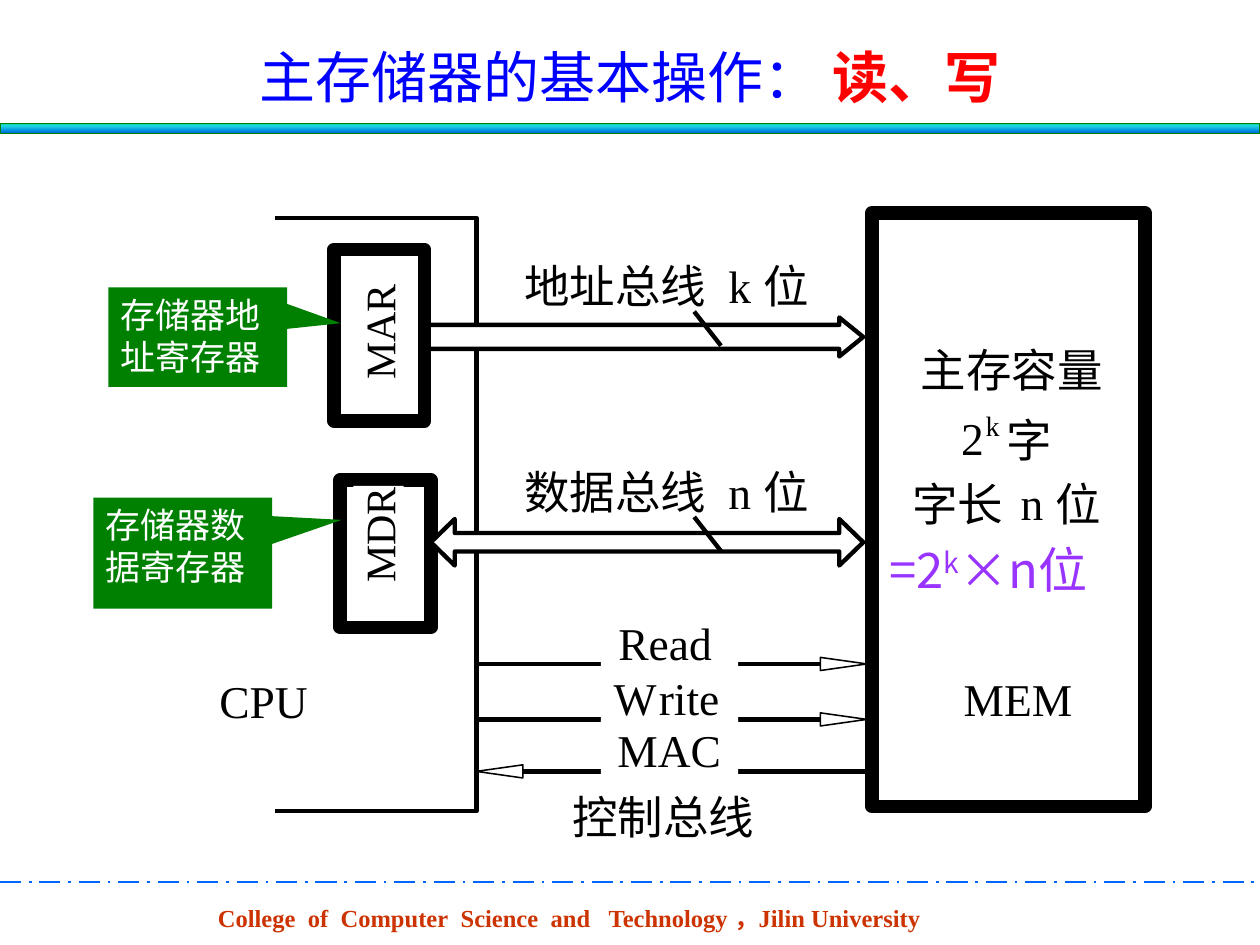
from pptx import Presentation
from pptx.dml.color import RGBColor
from pptx.enum.dml import MSO_LINE as Dash
from pptx.enum.shapes import MSO_CONNECTOR as Conn, MSO_SHAPE as Kind
from pptx.enum.text import MSO_ANCHOR as Anchor, MSO_AUTO_SIZE as Fit, PP_ALIGN as Align
from pptx.oxml.ns import qn
from pptx.util import Pt
from lxml import etree

HAN, ROMAN = "Noto Sans CJK SC", "Times New Roman"
BLACK, WHITE, GREEN = "000000", "FFFFFF", "008000"


def paint(color, code):
    color.rgb = RGBColor.from_string(code)


def style(shape, fill=None, line=None, width=1):
    shape.shadow.inherit = False
    if fill:
        shape.fill.solid()
        paint(shape.fill.fore_color, fill)
    else:
        shape.fill.background()
    if line:
        paint(shape.line.color, line)
        shape.line.width = Pt(width)
    else:
        shape.line.fill.background()
    return shape


def block(slide, box, kind=Kind.RECTANGLE, **look):
    return style(slide.shapes.add_shape(kind, *map(Pt, box)), **look)


def outline(slide, points, close=True, **look):
    first, *rest = [(Pt(x), Pt(y)) for x, y in points]
    pen = slide.shapes.build_freeform(*first)
    pen.add_line_segments(rest, close=close)
    return style(pen.convert_to_shape(), **look)


def rule(slide, x1, y1, x2, y2, color=BLACK, width=2.5):
    line = slide.shapes.add_connector(Conn.STRAIGHT, Pt(x1), Pt(y1), Pt(x2), Pt(y2))
    paint(line.line.color, color)
    line.line.width = Pt(width)
    etree.SubElement(line._element.spPr, qn("a:effectLst"))
    return line


def font(run, size, name, color, bold=False):
    run.font.size, run.font.name, run.font.bold = Pt(size), name, bold
    paint(run.font.color, color)
    east = etree.SubElement(run._r.get_or_add_rPr(), qn("a:ea"))
    east.set("typeface", HAN)


def field(slide, box):
    shape = slide.shapes.add_textbox(*map(Pt, box))
    shape.text_frame.word_wrap = True
    return shape


def label(slide, text, x, y, w, h=31, size=26):
    """Tight one-line label on white."""
    shape = style(slide.shapes.add_textbox(Pt(x), Pt(y), Pt(w), Pt(h)), fill=WHITE)
    frame = shape.text_frame
    frame.margin_left = frame.margin_right = frame.margin_top = frame.margin_bottom = 0
    frame.word_wrap, frame.auto_size = False, Fit.SHAPE_TO_FIT_TEXT
    frame.text = text
    font(frame.paragraphs[0].runs[0], size, ROMAN if text.isascii() else HAN, BLACK)
    return shape


def head(slide, x, y, w, h):
    # Gradient bar
    bar = block(slide, (x, y + h - 6, w, 6), line=GREEN, width=0.75)
    bar.fill.gradient()
    bar.fill.gradient_angle = 270
    stops = bar._element.spPr.find(qn("a:gradFill")).find(qn("a:gsLst"))
    for old in list(stops):
        stops.remove(old)
    for pos, code in (0, "03D4A8"), (25, "21D6E0"), (75, "0087E6"), (100, "005CBF"):
        stop = etree.SubElement(stops, qn("a:gs"), pos=str(pos * 1000))
        etree.SubElement(stop, qn("a:srgbClr"), val=code)
    # Title
    frame = field(slide, (x + 54, y, w - 108, h - 4.5)).text_frame
    frame.vertical_anchor = Anchor.MIDDLE
    para = frame.paragraphs[0]
    para.alignment = Align.CENTER
    for text, color, bold in ("主存储器的基本操作： ", "0000FF", False), ("读、写", "FF0000", True):
        run = para.add_run()
        run.text = text
        font(run, 32, HAN, color, bold)


def foot(slide, x, y, w, h):
    rule(slide, x, y, x + w, y, "0066FF", 1.5).line.dash_style = Dash.LONG_DASH_DOT
    para = field(slide, (x + 117.4, y + 8.6, 426, h)).text_frame.paragraphs[0]
    # Each word with the extra width of the space after it
    words = [("College", 3.5), ("of", 3.5), ("Computer", 3.5), ("Science", 3.5),
             ("and", 7), ("Technology", 0), ("，Jilin", 0), ("University", None)]
    for word, gap in words:
        for text in (word,) if gap is None else (word, " "):
            run = para.add_run()
            run.text = text
            font(run, 14, ROMAN, "CC3300", True)
        if gap:
            run._r.get_or_add_rPr().set("spc", str(int(gap * 100)))


def cpu(slide, x, y, w, h):
    edge = [(x, y), (x + w, y), (x + w, y + h), (x, y + h)]
    outline(slide, edge, close=False, line=BLACK, width=2.5)
    label(slide, "CPU", x - 31.7, y + 260, 57)


def cell(slide, x, y, w, h, name, mid, note, box, tip):
    """Register with its upright name and its callout."""
    block(slide, (x, y, w, h), fill=WHITE, line=BLACK, width=7.75)
    label(slide, name, 188.6, y + mid - 14.4, 55.4, 28.8, 24).rotation = 270
    call = block(slide, box, Kind.RECTANGULAR_CALLOUT, fill=GREEN)
    call.adjustments[0], call.adjustments[1] = tip
    frame = call.text_frame
    frame.word_wrap, frame.vertical_anchor = True, Anchor.TOP
    frame.text = note
    frame.paragraphs[0].alignment = Align.LEFT
    font(frame.paragraphs[0].runs[0], 20, ROMAN, WHITE)


def bus(slide, x, y, w, h, name, bits, barb, both=False):
    end, mid, neck = x + w, y + h / 2, 13.7
    for text, dx, wide in (name, 193.8, 110.9), (bits, 77.1, 15), ("位", 57, 27.4):
        label(slide, text, end - dx, mid - 45, wide)
    # Upper half from left to right, then mirrored below
    top = [(x, mid), (x + neck, y), (x + neck, y + barb)] if both else [(x, y + barb)]
    top += [(end - neck, y + barb), (end - neck, y), (end, mid)]
    low = [(px, 2 * mid - py) for px, py in reversed(top) if py != mid]
    outline(slide, top + low, fill=WHITE, line=BLACK, width=2.5)
    rule(slide, end - 96.6, mid - 14.5, end - 81.3, mid + 5)


def mem(slide, x, y, w, h):
    block(slide, (x, y, w, h), fill=WHITE, line=BLACK, width=7.75)
    parts = [("主存容量", 28, 73.5, 110.9), ("2", 51, 112.5, 13.7), ("字", 77, 113.5, 27.4),
             ("字长", 23, 150.5, 55.4), ("n", 85, 149.5, 15), ("位", 105, 150.5, 27.4),
             ("MEM", 52.5, 261.5, 70.6)]
    for text, dx, dy, wide in parts:
        label(slide, text, x + dx, y + dy, wide)
    label(slide, "k", x + 65, y + 111.5, 9.4, 19.4, 16)
    # Total capacity
    para = field(slide, (x + 3, y + 183, 136, 41)).text_frame.paragraphs[0]
    for text, lift in ("=2", 0), ("k", 30000), ("×n位", 0):
        run = para.add_run()
        run.text = text
        font(run, 28, HAN, "9933FF")
        run._r.get_or_add_rPr().set("baseline", str(lift))


def control(slide, x, y, w, h):
    rows = [(29.4, [("Read", 10, 61)], True),
            (61.1, [("W", 7.2, 27.4), ("rite", 33.1, 41)], True),
            (90.8, [("MAC", 9.4, 66)], False)]
    for dy, parts, right in rows:
        line = y + dy
        start, tip, back = (x, x + w - 2.8, -26.6) if right else (x + 20, x, 26.6)
        rule(slide, start, line, start + w - 20, line)
        barb = [(tip, line), (tip + back, line + 3.75), (tip + back, line - 3.75)]
        outline(slide, barb, fill=WHITE, line=BLACK, width=0.88)
        # Signal name in a gap in the line
        block(slide, (x + 71.2, line - 29, 78.5, 32), fill=WHITE)
        for text, dx, wide in parts:
            label(slide, text, x + 71.2 + dx, line - 28, wide)
    label(slide, "控制总线", x + 54.7, y + h - 31, 110.9)


def main():
    deck = Presentation()
    deck.slide_width, deck.slide_height = Pt(720), Pt(540)
    slide = deck.slides.add_slide(deck.slide_layouts[6])
    foot(slide, 0, 504, 720, 24)
    head(slide, 0, 15, 720, 61.5)
    cpu(slide, 157, 124.5, 115.2, 339)
    bus(slide, 233.3, 181.4, 260, 22.3, "地址总线", "k", 4.3)
    cell(slide, 190.8, 142.6, 51.8, 97.9, "MAR", 46.8, "存储器地址寄存器",
         (61.9, 164.2, 102.2, 56.9), (0.8, -0.14))
    cell(slide, 194.4, 274.3, 51.8, 84.2, "MDR", 31, "存储器数据寄存器",
         (53.3, 284.4, 102.2, 63.4), (0.89, -0.3))
    bus(slide, 246.2, 296.6, 247.1, 26.6, "数据总线", "n", 8, both=True)
    mem(slide, 498.2, 121.7, 156.2, 339.1)
    control(slide, 272.2, 350, 226, 131.7)
    deck.save("out.pptx")


if __name__ == "__main__":
    main()
